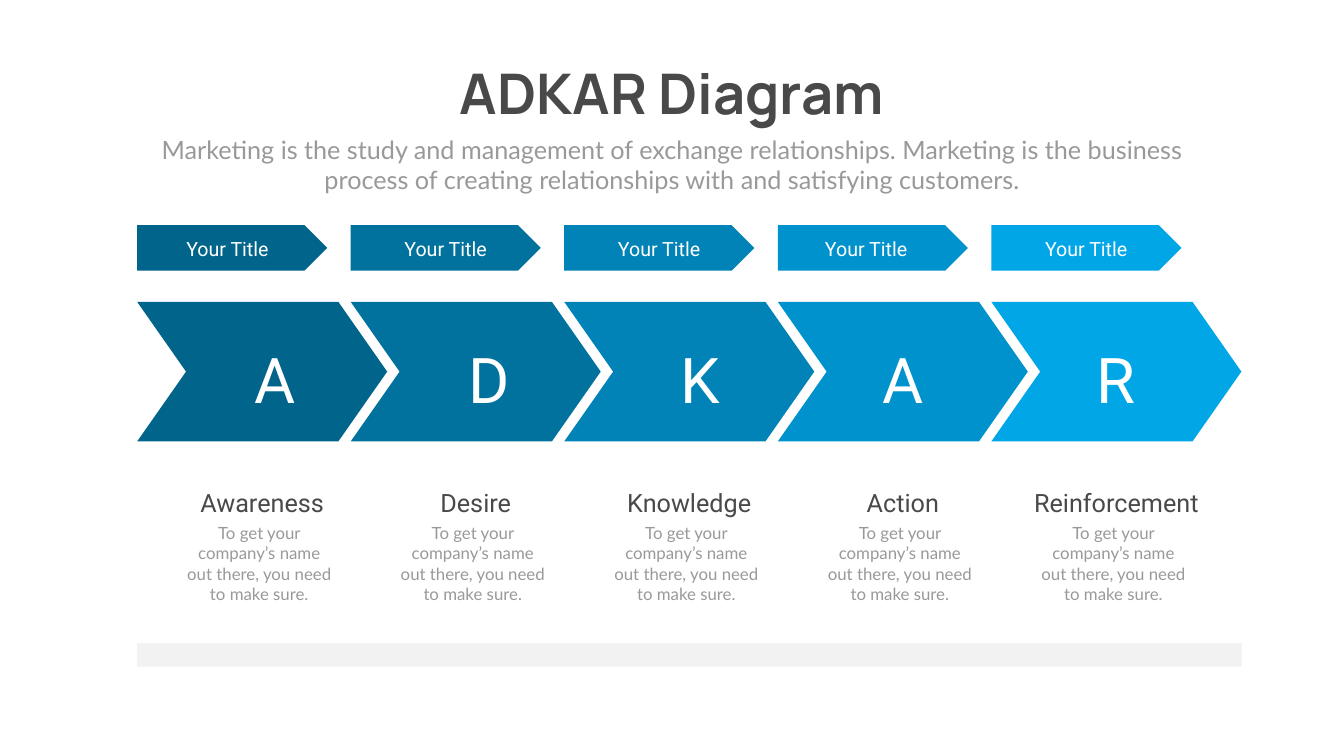
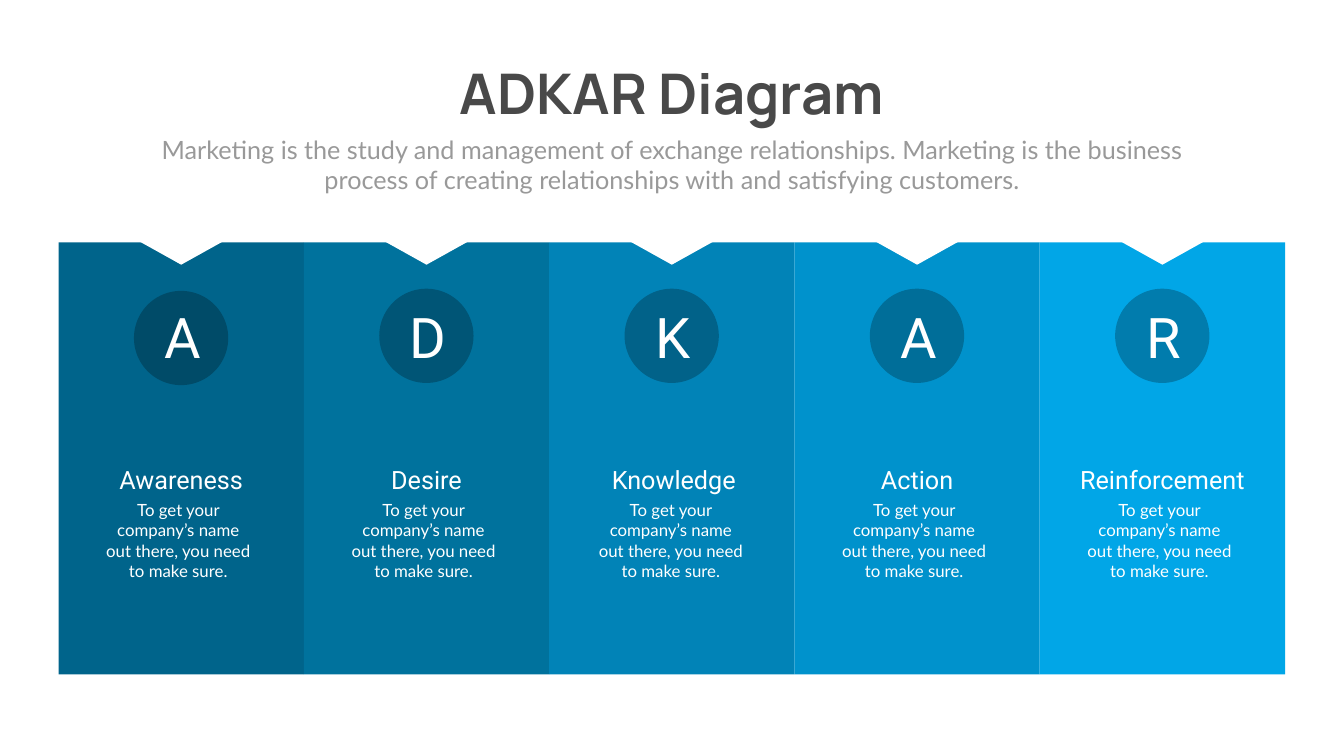
"""Build two ADKAR slides: a chevron process and a row of columns."""
from dataclasses import dataclass

from lxml.etree import SubElement
from pptx import Presentation
from pptx.dml.color import RGBColor
from pptx.enum.shapes import MSO_SHAPE as Shape
from pptx.enum.text import MSO_ANCHOR as Anchor, MSO_AUTO_SIZE as AutoSize, PP_ALIGN as Align
from pptx.oxml.ns import qn
from pptx.util import Cm, Pt

TITLE = "ADKAR Diagram"
SUBTITLE = (
    "Marketing is the study and management of exchange relationships. "
    "Marketing is the business process of creating relationships with "
    "and satisfying customers."
)
TAG = "Your Title"
DESCRIPTION = "To get your company’s name out there, you need to make sure."
STAGES = [
    ("A", "Awareness"),
    ("D", "Desire"),
    ("K", "Knowledge"),
    ("A", "Action"),
    ("R", "Reinforcement"),
]


@dataclass(frozen=True)
class Theme:
    stages: tuple = ("00648B", "00729D", "0183B7", "0092CC", "01A6E7")
    circles: tuple = ("004B68", "005576", "016289", "006E99", "017CAD")
    white: str = "FFFFFF"
    dark: str = "494949"
    grey: str = "999999"
    bar: str = "808080"
    title_font: str = "Manrope"
    label_font: str = "Roboto"
    body_font: str = "Lato"
    title_size: int = 80
    chevron_letter_size: int = 90
    circle_letter_size: int = 80
    heading_size: int = 36
    tag_size: int = 28
    body_size: int = 24


THEME = Theme()
SLIDE_SIZE = (67.72, 38.1)
CENTRE = SLIDE_SIZE[0] / 2

CHEVRON_LEFT, CHEVRON_PITCH = 6.91, 10.76
CHEVRON_LETTER_CENTRES = (6.97, 6.97, 6.84, 6.3, 6.3)
TAG_CENTRES = (4.55, 4.78, 4.78, 4.45, 4.78)
CHEVRON_CAPTION_CENTRE = 6.3

COLUMN_LEFT, COLUMN_WIDTH = 2.95, 12.36
CIRCLE_TOPS = (14.66, 14.55, 14.55, 14.55, 14.55)
COLUMN_CAPTION_SHIFTS = (0, 0, 0.1, 0, 0)


def write(shape, text, font, size, color, bold=False, wrap=True):
    """Fill a shape with one centred, formatted paragraph."""
    frame = shape.text_frame
    frame_format = {
        "word_wrap": wrap,
        "auto_size": AutoSize.SHAPE_TO_FIT_TEXT,
        "vertical_anchor": Anchor.TOP,
    }
    for name, value in frame_format.items():
        setattr(frame, name, value)
    paragraph = frame.paragraphs[0]
    paragraph.alignment = Align.CENTER
    run = paragraph.add_run()
    run.text = text
    for name, value in {"name": font, "size": Pt(size), "bold": bold}.items():
        setattr(run.font, name, value)
    run.font.color.rgb = RGBColor.from_string(color)


def add_text(slide, centre, top, width, height, *style):
    """Add a text box centred on a horizontal position."""
    box = slide.shapes.add_textbox(Cm(centre - width / 2), Cm(top), Cm(width), Cm(height))
    write(box, *style)


def add_figure(slide, kind, left, top, width, height, color, adjustment=None):
    """Add a plain filled shape without outline or shadow."""
    shape = slide.shapes.add_shape(kind, Cm(left), Cm(top), Cm(width), Cm(height))
    shape.shadow.inherit = False
    shape.fill.solid()
    shape.fill.fore_color.rgb = RGBColor.from_string(color)
    shape.line.fill.background()
    if adjustment is not None:
        shape.adjustments[0] = adjustment
    return shape


def add_caption(slide, centre, top, name, name_color, body_color):
    """Add a stage name with its description below."""
    width = 9.78 if name == "Reinforcement" else 8.28
    add_text(slide, centre, top, width, 1.8,
             name, THEME.label_font, THEME.heading_size, name_color)
    add_text(slide, centre - 0.15, top + 1.8, 7.98, 4.37,
             DESCRIPTION, THEME.body_font, THEME.body_size, body_color)


def add_titled_slide(presentation):
    """Add a slide with the shared title and subtitle."""
    slide = presentation.slides.add_slide(presentation.slide_layouts[5])
    title = slide.shapes.title
    place = {"left": CENTRE - 12.04, "top": 2.84, "width": 24.08, "height": 3.68}
    for name, value in place.items():
        setattr(title, name, Cm(value))
    write(title, TITLE, THEME.title_font, THEME.title_size, THEME.dark, True, False)
    add_text(slide, CENTRE, 6.63, 52.88, 3.33,
             SUBTITLE, THEME.body_font, THEME.heading_size, THEME.grey)
    return slide


def build_chevrons(presentation):
    """Draw the stages as chevrons under pointed tags."""
    slide = add_titled_slide(presentation)
    for index, (letter, name) in enumerate(STAGES):
        left = CHEVRON_LEFT + index * CHEVRON_PITCH
        color = THEME.stages[index]
        add_figure(slide, Shape.PENTAGON, left, 11.35, 9.58, 2.29, color)
        add_text(slide, left + TAG_CENTRES[index], 11.79, 8.28, 1.45,
                 TAG, THEME.label_font, THEME.tag_size, THEME.white)
        add_figure(slide, Shape.CHEVRON, left, 15.21, 12.6, 7.04, color, 0.35)
        add_text(slide, left + CHEVRON_LETTER_CENTRES[index], 17.02, 3.68, 3.99,
                 letter, THEME.label_font, THEME.chevron_letter_size, THEME.white)
        add_caption(slide, left + CHEVRON_CAPTION_CENTRE, 24.43, name, THEME.dark, THEME.grey)
    bar = add_figure(slide, Shape.PENTAGON, CHEVRON_LEFT, 32.41, 55.65, 1.19, THEME.bar, 0)
    bar_color = bar.fill._xPr.find(qn("a:solidFill"))[0]
    SubElement(bar_color, qn("a:alpha"), val="10000")


def build_columns(presentation):
    """Draw the stages as notched columns with circled letters."""
    slide = add_titled_slide(presentation)
    for index, (letter, name) in enumerate(STAGES):
        left = COLUMN_LEFT + index * COLUMN_WIDTH
        centre = left + COLUMN_WIDTH / 2
        add_figure(slide, Shape.RECTANGLE, left, 12.22, COLUMN_WIDTH, 21.77, THEME.stages[index])
        notch = add_figure(slide, Shape.ISOSCELES_TRIANGLE,
                           centre - 2.1, 12.17, 4.2, 1.17, THEME.white)
        notch.rotation = 180
        add_figure(slide, Shape.OVAL, centre - 2.38, CIRCLE_TOPS[index],
                   4.75, 4.75, THEME.circles[index])
        add_text(slide, centre + 0.08, 15.14, 3.68, 3.68,
                 letter, THEME.label_font, THEME.circle_letter_size, THEME.white)
        add_caption(slide, centre + COLUMN_CAPTION_SHIFTS[index], 23.27,
                    name, THEME.white, THEME.white)


def main():
    """Build and save the presentation."""
    presentation = Presentation()
    presentation.slide_width, presentation.slide_height = map(Cm, SLIDE_SIZE)
    build_chevrons(presentation)
    build_columns(presentation)
    presentation.save("out.pptx")


if __name__ == "__main__":
    main()
